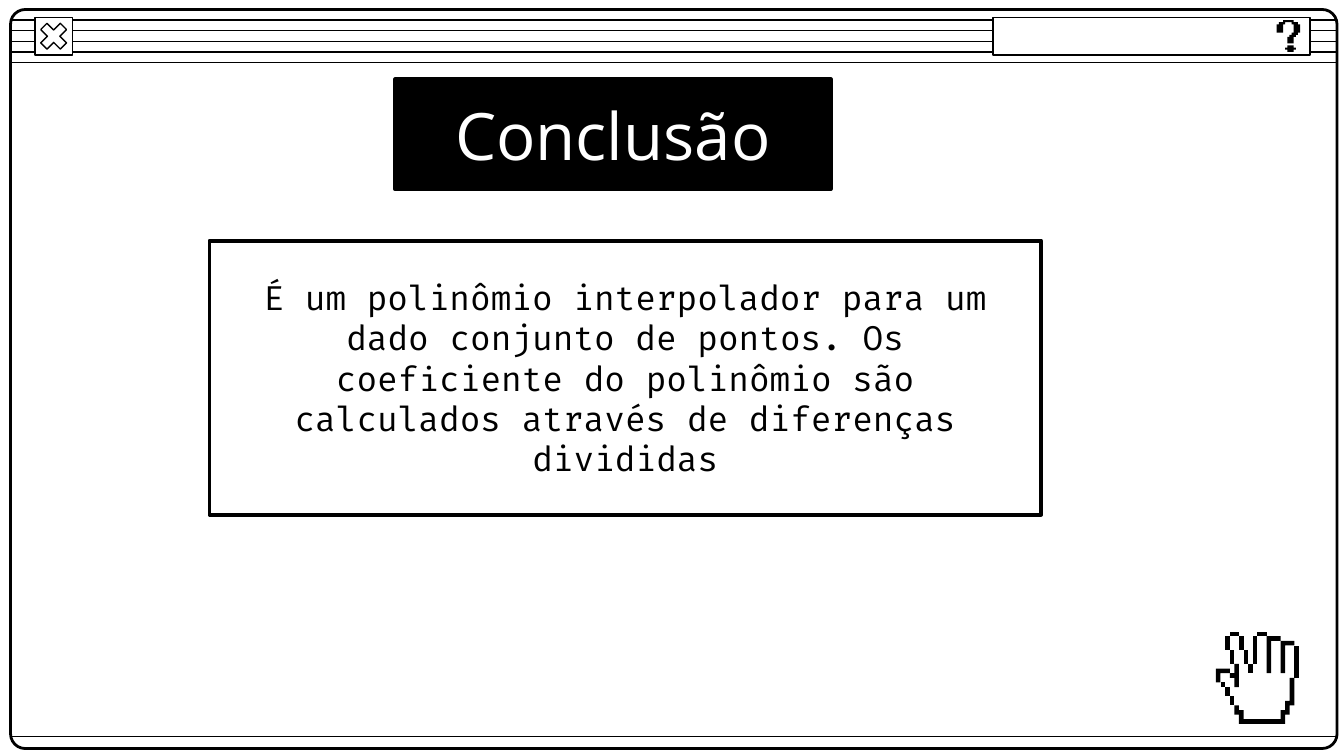
"""Builds the conclusion slide, styled as a retro desktop window."""
from lxml.etree import SubElement
from pptx import Presentation
from pptx.dml.color import RGBColor
from pptx.enum.shapes import MSO_CONNECTOR as Link, MSO_SHAPE as Preset
from pptx.enum.text import MSO_ANCHOR as Anchor, PP_ALIGN as Align
from pptx.oxml.ns import qn
from pptx.util import Cm, Pt

COLOURS = {"ink": "000000", "paper": "FFFFFF"}

TITLE = {
    "text": "Conclusão", "at": (7.47, 1.5, 8.23, 2.08), "fill": "ink", "line": 2,
    "colour": "paper", "font": {"name": "Open Sans", "size": Pt(35)},
}
CONCLUSION = {
    "text": "É um polinômio interpolador para um dado conjunto de pontos. "
            "Os coeficiente do polinômio são calculados através de diferenças divididas",
    "at": (3.96, 4.55, 15.72, 5.18), "fill": "paper", "line": 2,
    "colour": "ink", "font": {"name": "Fira Code", "size": Pt(18)},
}

FRAME = (0.2, 0.18, 25.07, 13.97)
STRIPES = [0.38 + 0.2 * i for i in range(5)]
FOOT_RULE = 13.92
CLOSE_BUTTON = (0.66, 0.33, 0.71, 0.71)
SEARCH_BAR = (18.77, 0.33, 5.99, 0.71)

QUESTION_MARK = {
    "at": (24.13, 0.38), "cell": 0.44 / 11,
    "parts": [
        ("ink", [(5, 12), (4, 13), (5, 14), (8, 15), (9, 14), (8, 13)]),
        ("ink", [(3, 0), (1, 1), (0, 2), (3, 6), (4, 2), (7, 1), (8, 2), (7, 6),
                 (6, 7), (5, 8), (8, 11), (9, 8), (10, 7), (11, 6), (10, 2), (8, 1)]),
    ],
}
HAND = {
    "at": (22.98, 11.94), "cell": 1.57 / 18,
    "parts": [
        ("paper", [(3, 0), (2, 1), (3, 4), (4, 7), (3, 9), (0, 8), (1, 11), (2, 12),
                   (3, 14), (4, 16), (5, 18), (15, 20), (16, 18), (17, 16), (18, 10),
                   (17, 3), (14, 2), (11, 1), (9, 0), (8, 1), (7, 7), (6, 4), (5, 1)]),
        ("ink", [(3, 0), (5, 1)]),
        ("ink", [(9, 0), (11, 1)]),
        ("ink", [(11, 1), (12, 9), (14, 2)]),
        ("ink", [(14, 2), (15, 9), (17, 3)]),
        ("ink", [(17, 3), (18, 10)]),
        ("ink", [(16, 10), (15, 15), (14, 17), (6, 19), (5, 17), (4, 16), (5, 18),
                 (15, 20), (16, 18), (17, 16)]),
        ("ink", [(4, 7), (3, 9), (4, 10), (5, 12)]),
        ("ink", [(3, 4), (4, 7)]),
        ("ink", [(2, 1), (3, 4)]),
        ("ink", [(7, 7), (8, 9)]),
        ("ink", [(6, 4), (7, 7)]),
        ("ink", [(5, 1), (6, 4)]),
        ("ink", [(8, 1), (9, 7)]),
        ("ink", [(0, 8), (1, 11), (3, 9)]),
        ("ink", [(1, 11), (2, 12)]),
        ("ink", [(2, 12), (3, 14)]),
        ("ink", [(3, 14), (4, 16)]),
    ],
}

deck = Presentation()
deck.slide_width, deck.slide_height = Cm(25.4), Cm(14.29)
slide = deck.slides.add_slide(deck.slide_layouts[6])
shapes = slide.shapes


def rgb(colour):
    return RGBColor.from_string(COLOURS[colour])


def paint(shape, fill=None, line=None):
    shape.shadow.inherit = False
    if fill:
        shape.fill.solid()
        shape.fill.fore_color.rgb = rgb(fill)
    else:
        shape.fill.background()
    if line:
        shape.line.color.rgb = rgb("ink")
        shape.line.width = Pt(line)
    else:
        shape.line.fill.background()
    return shape


def panel(preset, at, fill=None, line=0.75):
    return paint(shapes.add_shape(preset, *map(Cm, at)), fill, line)


def rule(y):
    left, width = FRAME[0], FRAME[2]
    stroke = shapes.add_connector(Link.STRAIGHT, Cm(left), Cm(y), Cm(left + width), Cm(y))
    stroke.line.color.rgb = rgb("ink")
    stroke.line.width = Pt(0.75)
    SubElement(stroke._element.spPr, qn("a:effectLst"))


def pixel_icon(icon):
    """Draws stepped outlines; each step goes down or up first, then sideways."""
    for fill, steps in icon["parts"]:
        outline = []
        for (x, y), (_, next_y) in zip(steps, steps[1:] + steps[:1]):
            outline += [(x, y), (x, next_y)]
        builder = shapes.build_freeform(*outline[0], scale=float(Cm(icon["cell"])))
        builder.add_line_segments(outline[1:], close=True)
        paint(builder.convert_to_shape(*map(Cm, icon["at"])), fill)


def text_panel(content):
    frame = panel(Preset.RECTANGLE, content["at"], content["fill"], content["line"]).text_frame
    layout = {"word_wrap": True, "vertical_anchor": Anchor.MIDDLE}
    layout |= {f"margin_{side}": Cm(0.25) for side in ("left", "top", "right", "bottom")}
    for key, value in layout.items():
        setattr(frame, key, value)
    paragraph = frame.paragraphs[0]
    paragraph.alignment = Align.CENTER
    run = paragraph.add_run()
    run.text = content["text"]
    for key, value in content["font"].items():
        setattr(run.font, key, value)
    run.font.color.rgb = rgb(content["colour"])


for stripe in STRIPES:
    rule(stripe)
panel(Preset.ROUNDED_RECTANGLE, FRAME, line=1.5).adjustments[0] = 0.02
panel(Preset.RECTANGLE, CLOSE_BUTTON, "paper")
panel(Preset.MATH_MULTIPLY, CLOSE_BUTTON, "paper").adjustments[0] = 0.235
rule(FOOT_RULE)
panel(Preset.RECTANGLE, SEARCH_BAR, "paper")
pixel_icon(QUESTION_MARK)
text_panel(TITLE)
pixel_icon(HAND)
text_panel(CONCLUSION)

deck.save("out.pptx")
